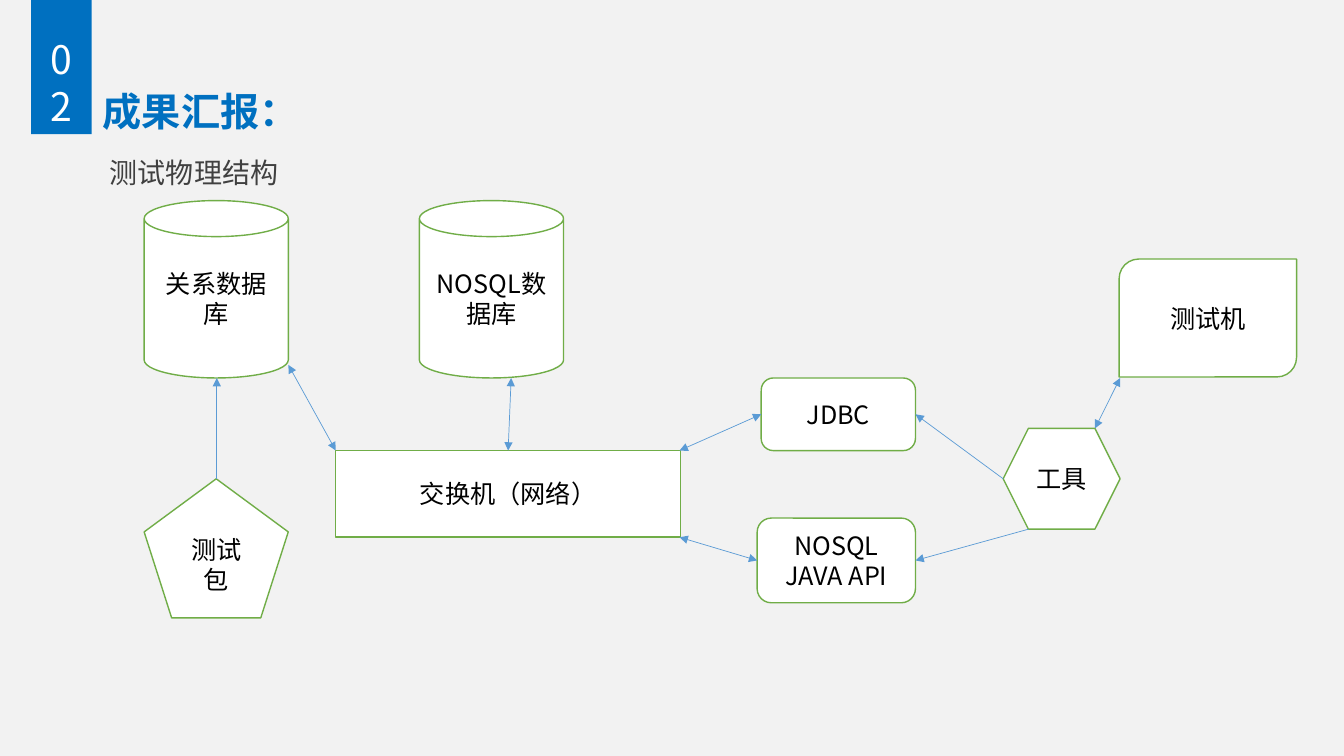
from lxml import etree
from pptx import Presentation
from pptx import util as u
from pptx.dml.color import RGBColor
from pptx.enum import shapes, text
from pptx.oxml.ns import qn

CJK = "Noto Sans CJK SC"
BLUE, GREEN, ARROW, WHITE, BLACK = "0070C0", "70AD47", "5B9BD5", "FFFFFF", "000000"
M = shapes.MSO_SHAPE
LEFT, RIGHT = 1, 3

# name: (preset, label, left, top, width, height)
NODES = {
    "relational": (M.CAN, "关系数据库", 1.43, 1.99, 1.43, 1.76),
    "nosql": (M.CAN, "NOSQL数据库", 4.16, 1.99, 1.43, 1.76),
    "switch": (M.RECTANGLE, "交换机（网络）", 3.33, 4.47, 3.42, 0.86),
    "package": (M.REGULAR_PENTAGON, "测试包", 1.43, 4.75, 1.43, 1.38),
    "tool": (M.HEXAGON, "工具", 9.95, 4.25, 1.16, 1),
    "tester": (M.ROUND_2_DIAG_RECTANGLE, "测试机", 11.1, 2.57, 1.76, 1.17),
    "jdbc": (M.ROUNDED_RECTANGLE, "JDBC", 7.55, 3.75, 1.53, 0.72),
    "api": (M.ROUNDED_RECTANGLE, "NOSQL\nJAVA API", 7.51, 5.14, 1.57, 0.84),
}
# (start point, end point or (node, side), arrow at both ends)
LINKS = [
    ((2.15, 4.75), (2.15, 3.75), False),
    ((3.33, 4.47), (2.86, 3.62), True),
    ((5.04, 4.47), (5.07, 3.75), True),
    ((6.74, 4.47), ("jdbc", LEFT), True),
    ((6.74, 5.33), ("api", LEFT), True),
    ((9.95, 4.75), ("jdbc", RIGHT), False),
    ((10.2, 5.25), ("api", RIGHT), False),
    ((10.86, 4.25), (11.11, 3.75), True),
]


def rgb(value):
    return RGBColor.from_string(value)


def write(sp, content, size=18, font=CJK, color=BLACK, bold=False,
          align=text.PP_ALIGN.CENTER, anchor=text.MSO_ANCHOR.MIDDLE,
          spacing=None, before=None):
    tf = sp.text_frame
    tf.word_wrap = True
    tf.auto_size = text.MSO_AUTO_SIZE.NONE
    tf.vertical_anchor = anchor
    tf.text = content
    for p in tf.paragraphs:
        p.alignment = align
        if spacing:
            p.line_spacing = spacing
        if before is not None:
            p.space_before = u.Pt(before)
        for r in p.runs:
            r.font.size, r.font.name, r.font.bold = u.Pt(size), font, bold
            r.font.color.rgb = rgb(color)
            latin = r.font._element.find(qn("a:latin"))
            ea = etree.Element(qn("a:ea"), typeface=CJK)
            latin.addnext(ea)


def place(sp, *box):
    sp.left, sp.top, sp.width, sp.height = map(u.Inches, box)


def add_node(s, preset, box, fill=WHITE, line=None):
    sp = s.shapes.add_shape(preset, *map(u.Inches, box))
    sp.shadow.inherit = False
    sp.fill.solid()
    sp.fill.fore_color.rgb = rgb(fill)
    if line:
        sp.line.color.rgb = rgb(line)
        sp.line.width = u.Pt(1)
    else:
        sp.line.fill.background()
    return sp


def add_link(s, nodes, start, end, both):
    joined = isinstance(end[0], str)
    stop = start if joined else end
    link = s.shapes.add_connector(shapes.MSO_CONNECTOR.STRAIGHT,
                                  *map(u.Inches, start + stop))
    if joined:
        link.end_connect(nodes[end[0]], end[1])
    link.line.color.rgb = rgb(ARROW)
    link.line.width = u.Pt(0.5)
    ln = link.line._get_or_add_ln()
    for tag in (["a:headEnd"] if both else []) + ["a:tailEnd"]:
        etree.SubElement(ln, qn(tag), type="triangle")
    etree.SubElement(link._element.spPr, qn("a:effectLst"))


def main():
    prs = Presentation()
    prs.slide_width, prs.slide_height = u.Inches(13.33), u.Inches(7.5)
    s = prs.slides.add_slide(prs.slide_layouts[1])
    s.background.fill.solid()
    s.background.fill.fore_color.rgb = rgb("F2F2F2")

    title, body = s.shapes.title, s.placeholders[1]
    place(title, 0.92, 0.4, 11.5, 1.45)
    write(title, "成果汇报：", size=28, font="Times New Roman", color=BLUE, bold=True,
          align=text.PP_ALIGN.LEFT, spacing=0.9)
    place(body, 0.99, 1.33, 11.5, 5.32)
    write(body, "测试物理结构", size=20, font="Calibri", color="404040",
          align=text.PP_ALIGN.LEFT, anchor=text.MSO_ANCHOR.TOP, spacing=1.5, before=10)
    pPr = body.text_frame.paragraphs[0]._p.get_or_add_pPr()
    pPr.set("marL", "0")
    pPr.set("indent", "0")
    etree.SubElement(pPr, qn("a:buNone"))

    tab = add_node(s, M.ROUNDED_RECTANGLE, (0.31, 0, 0.6, 1.33), fill=BLUE)
    tab.adjustments[0] = 0
    write(tab, "02", size=28, color=WHITE, anchor=text.MSO_ANCHOR.BOTTOM)

    nodes = {}
    for name, (preset, label, *box) in NODES.items():
        nodes[name] = add_node(s, preset, box, line=GREEN)
        write(nodes[name], label)
    for start, end, both in LINKS:
        add_link(s, nodes, start, end, both)
    prs.save("out.pptx")


if __name__ == "__main__":
    main()
